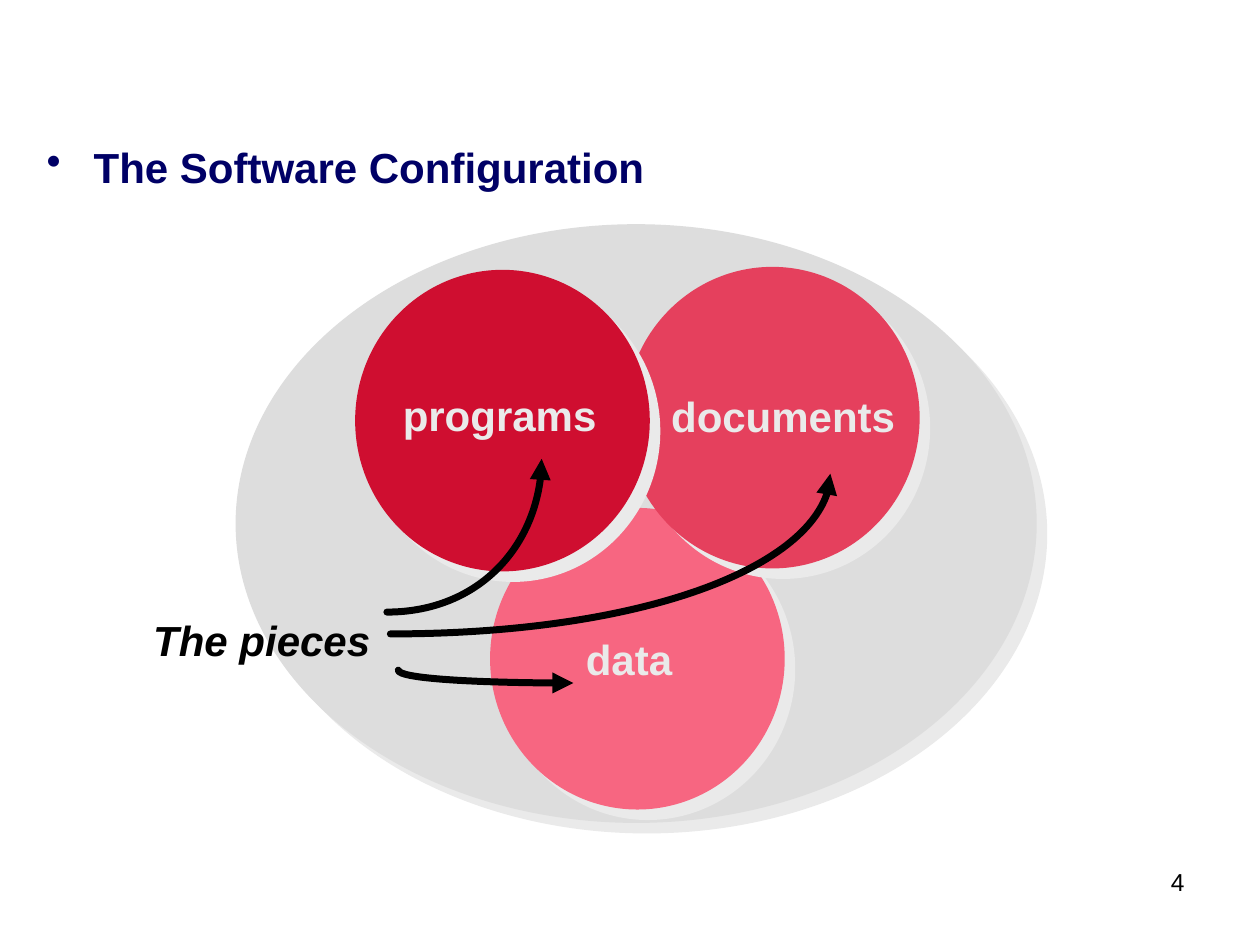
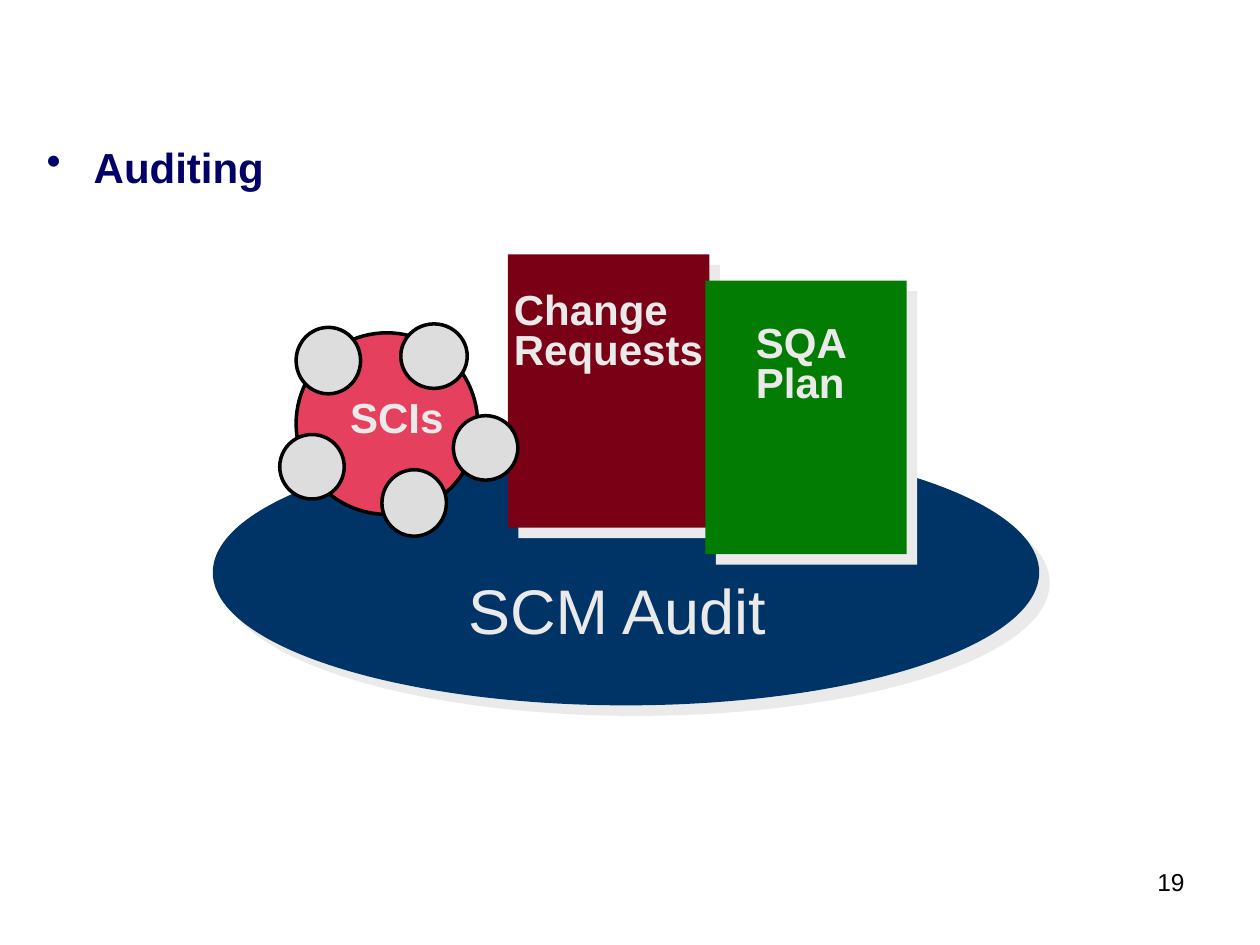
from dataclasses import dataclass

from lxml import etree
from pptx import Presentation
from pptx import util as u
from pptx.dml import color
from pptx.enum import shapes, text
from pptx.oxml import ns


@dataclass(frozen=True)
class Theme:
    font: str = "Arial"
    title: str = "000066"
    ink: str = "000000"
    pale: str = "EAEAEA"
    grey: str = "DDDDDD"
    crimson: str = "CF0E30"
    rose: str = "E5405D"
    pink: str = "F76681"
    navy: str = "003366"
    maroon: str = "790015"
    green: str = "037C03"
    body_size: int = 24
    large_size: int = 36
    number_size: int = 14
    outline: int = 2
    arrow: int = 4


theme = Theme()
rgb = color.RGBColor.from_string
OVAL = shapes.MSO_SHAPE.OVAL
RECTANGLE = shapes.MSO_SHAPE.RECTANGLE


def add_figure(page, kind, bounds, fill, outlined=False):
    figure = page.shapes.add_shape(kind, *(u.Cm(value) for value in bounds))
    figure.shadow.inherit = False
    figure.fill.solid()
    figure.fill.fore_color.rgb = rgb(fill)
    if outlined:
        figure.line.color.rgb = rgb(theme.ink)
        figure.line.width = u.Pt(theme.outline)
    else:
        figure.line.fill.background()
        effects = figure._element.spPr.find(ns.qn("a:effectLst"))
        shadow = etree.SubElement(effects, ns.qn("a:outerShdw"), dist=str(u.Pt(8.5)),
                                  dir="2700000", algn="ctr", rotWithShape="0")
        etree.SubElement(shadow, ns.qn("a:srgbClr"), val=theme.pale)
    return figure


def add_label(page, words, bounds, ink=theme.pale, size=theme.body_size, bold=True,
              italic=False, wrap=False, spacing=None, align=text.PP_ALIGN.LEFT):
    box = page.shapes.add_textbox(*(u.Cm(value) for value in bounds))
    box.text_frame.text = words
    box.text_frame.word_wrap = wrap
    for para in box.text_frame.paragraphs:
        para.alignment = align
        para.line_spacing = spacing
        for span in para.runs:
            span.font.name = theme.font
            span.font.size = u.Pt(size)
            span.font.bold = bold
            span.font.italic = italic
            span.font.color.rgb = rgb(ink)
    return box


deck = Presentation()
deck.slide_width = u.Cm(25.4)
deck.slide_height = u.Cm(19.05)

pages = []
for heading, number in (("The Software Configuration", "4"), ("Auditing", "19")):
    page = deck.slides.add_slide(deck.slide_layouts[6])
    pages.append(page)
    title = add_label(page, heading, (0.69, 2.72, 22.86, 1.6), theme.title, wrap=True)
    para = title.text_frame.paragraphs[0]
    para.space_before = u.Pt(6)
    properties = para._p.get_or_add_pPr()
    properties.set("marL", str(u.Cm(0.95)))
    properties.set("indent", str(u.Cm(-0.95)))
    bullet_color = etree.SubElement(properties, ns.qn("a:buClr"))
    etree.SubElement(bullet_color, ns.qn("a:srgbClr"), val=theme.title)
    etree.SubElement(properties, ns.qn("a:buChar"), char="•")
    add_label(page, number, (18.9, 17.35, 5.23, 1.32), theme.ink, theme.number_size,
              bold=False, wrap=True, align=text.PP_ALIGN.RIGHT)

configuration, auditing = pages

add_figure(configuration, OVAL, (4.75, 4.52, 16.15, 12.07), theme.grey)
for left, top, fill in ((9.88, 10.24, theme.pink), (12.6, 5.38, theme.rose),
                        (7.16, 5.44, theme.crimson)):
    add_figure(configuration, OVAL, (left, top, 5.94, 6.08), fill)

for words, left, top, width in (("programs", 7.87, 7.72, 4.42),
                                ("documents", 13.28, 7.75, 5.03),
                                ("data", 11.56, 12.65, 2.24)):
    add_label(configuration, words, (left, top, width, 1.27))
add_label(configuration, "The pieces", (2.84, 12.27, 4.88, 1.27), theme.ink, italic=True)

piece_arrows = (
    ((11.56, 13.77), (9.6, 13.77), (8.03, 13.67), (8.03, 13.51)),
    ((16.74, 9.55), (16.74, 11.33), (12.78, 12.78), (7.87, 12.78)),
    ((10.92, 9.25), (10.92, 10.97), (9.53, 12.34), (7.8, 12.34)),
)
for points in piece_arrows:
    start, *others = [(u.Cm(x), u.Cm(y)) for x, y in points]
    builder = configuration.shapes.build_freeform(*start)
    builder.add_line_segments(others, close=False)
    arrow = builder.convert_to_shape()
    segments = arrow._element.xpath(".//a:lnTo")
    bezier = etree.SubElement(segments[0].getparent(), ns.qn("a:cubicBezTo"))
    for segment in segments:
        bezier.append(segment[0])
        segment.getparent().remove(segment)
    arrow.shadow.inherit = False
    arrow.fill.background()
    arrow.line.color.rgb = rgb(theme.ink)
    arrow.line.width = u.Pt(theme.arrow)
    line = arrow._element.spPr.find(ns.qn("a:ln"))
    line.set("cap", "rnd")
    etree.SubElement(line, ns.qn("a:round"))
    etree.SubElement(line, ns.qn("a:headEnd"), type="triangle")

add_figure(auditing, OVAL, (4.29, 8.86, 16.66, 5.36), theme.navy)
add_figure(auditing, RECTANGLE, (10.24, 5.13, 4.06, 5.51), theme.maroon)
add_figure(auditing, RECTANGLE, (14.22, 5.66, 4.06, 5.51), theme.green)
add_figure(auditing, OVAL, (5.97, 6.71, 3.66, 3.66), theme.rose, outlined=True)
add_label(auditing, "SCIs", (6.81, 7.77, 2.39, 1.27))

for item in ((7.7, 9.47, 1.3, 1.34), (9.14, 8.38, 1.3, 1.3), (8.08, 6.53, 1.34, 1.3),
             (5.97, 6.6, 1.3, 1.34), (5.64, 8.76, 1.3, 1.3)):
    add_figure(auditing, OVAL, item, theme.grey, outlined=True)

add_label(auditing, "Change\nRequests", (10.11, 5.79, 4.32, 1.88), spacing=0.8)
add_label(auditing, "SQA\nPlan", (14.99, 6.45, 2.34, 1.88), spacing=0.8)
add_label(auditing, "SCM Audit", (9.19, 11.4, 6.58, 1.78), size=theme.large_size, bold=False)

deck.save("out.pptx")
